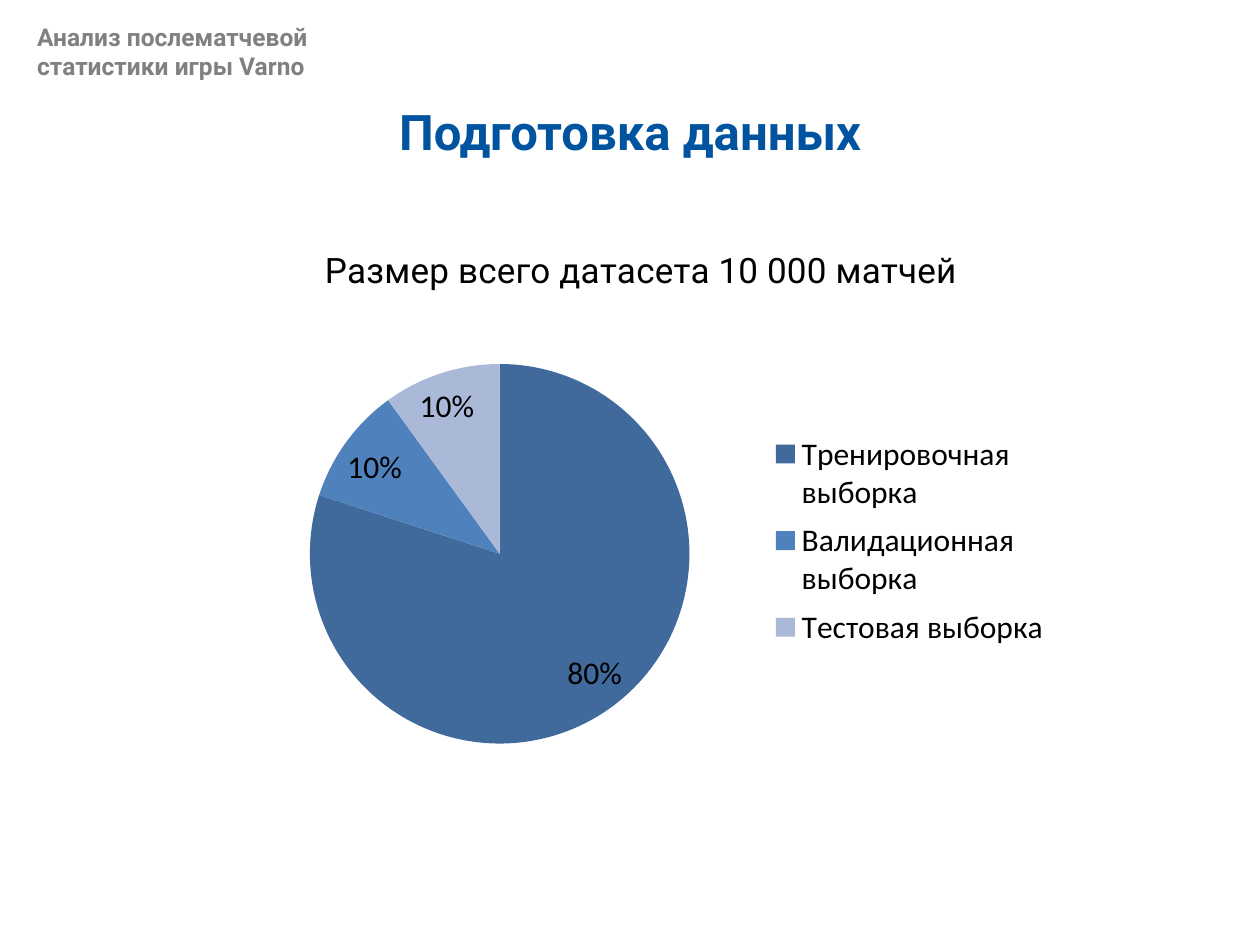
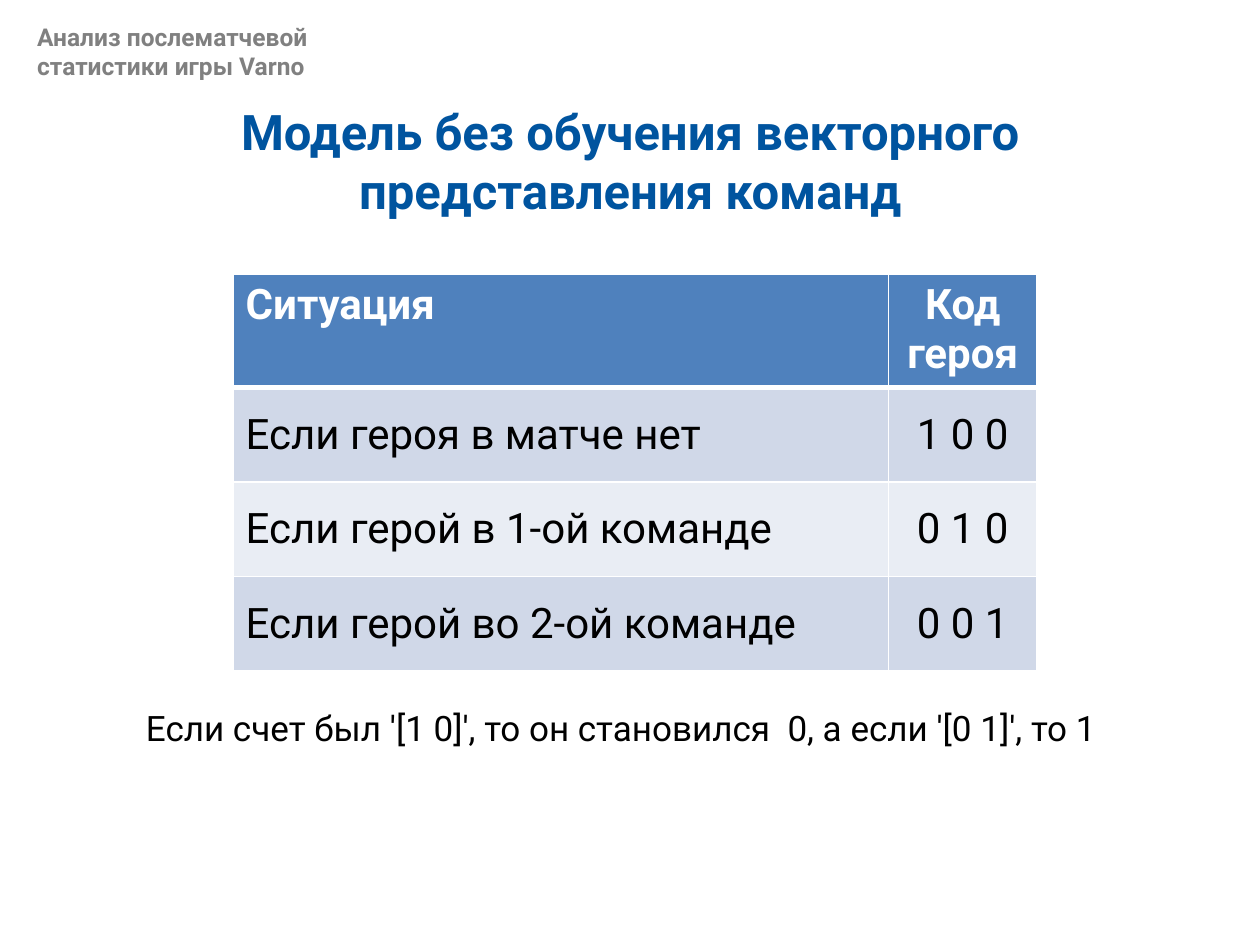
from lxml import etree
from pptx import Presentation
from pptx.chart.data import CategoryChartData
from pptx.dml.color import RGBColor
from pptx.enum import chart as ch, text
from pptx.oxml import parse_xml
from pptx.oxml.ns import nsdecls, qn
from pptx.util import Pt

FONT = "Roboto"
BLUE, GREY, BLACK, WHITE = "00549F", "808080", "000000", "FFFFFF"
HEAD_FILL = "4F81BD"
ROW_FILLS = ["D0D8E8", "E9EDF4"]
PIE_FILLS = ["406A9C", "4F81BD", "AAB9D8"]
CENTER, LEFT = text.PP_ALIGN.CENTER, text.PP_ALIGN.LEFT


def rgb(value):
    return RGBColor.from_string(value)


def style(font, size, color, bold=False, name=FONT):
    font.size = Pt(size)
    font.name = name
    font.bold = bold
    font.color.rgb = rgb(color)


def fill_text(tf, words, size, color, bold=False, align=LEFT):
    tf.text = words
    p = tf.paragraphs[0]
    p.alignment = align
    style(p.runs[0].font, size, color, bold)


def add_text(s, box, words, size, color, bold=False, align=LEFT):
    tf = s.shapes.add_textbox(*map(Pt, box)).text_frame
    tf.word_wrap = True
    fill_text(tf, words, size, color, bold, align)


def add_titled_slide(prs, title, left, width, height):
    """Blank slide with the running header and a centred blue title."""
    s = prs.slides.add_slide(prs.slide_layouts[6])
    add_text(s, (14.2, 9, 232.6, 41),
             "Анализ послематчевой статистики игры Varno", 14, GREY, True)
    add_text(s, (left, 54.7, width, height), title, 28, BLUE, True, CENTER)
    return s


def set_layout(part, after=None, **settings):
    """Place a chart part by fractions of the chart, following the tag `after`."""
    for old in part.findall(qn("c:layout")):
        part.remove(old)
    layout = parse_xml(f"<c:layout {nsdecls('c')}/>")
    manual = etree.SubElement(layout, qn("c:manualLayout"))
    for tag, val in settings.items():
        etree.SubElement(manual, qn(f"c:{tag}")).set("val", str(val))
    if after:
        part.find(qn(after)).addnext(layout)
    else:
        part.insert(0, layout)


def add_pie(s, box, title, shares):
    data = CategoryChartData()
    data.categories = list(shares)
    data.add_series("Выборки", list(shares.values()))
    chart = s.shapes.add_chart(ch.XL_CHART_TYPE.PIE, *map(Pt, box), data).chart
    style(chart.font, 18, BLACK, name="Calibri")

    chart.has_title = True
    fill_text(chart.chart_title.text_frame, title, 20, BLACK, align=CENTER)
    chart.chart_title.include_in_layout = False
    chart.has_legend = True
    chart.legend.position = ch.XL_LEGEND_POSITION.RIGHT
    chart.legend.include_in_layout = False

    plot = chart.plots[0]
    plot.vary_by_categories = True
    plot.has_data_labels = True
    labels = plot.data_labels
    labels.show_percentage = True
    labels.show_value = False
    labels.number_format = "0%"
    labels.number_format_is_linked = False
    labels.position = ch.XL_LABEL_POSITION.BEST_FIT
    for i, color in enumerate(PIE_FILLS):
        fill = plot.series[0].points[i].format.fill
        fill.solid()
        fill.fore_color.rgb = rgb(color)

    root = chart._chartSpace.chart
    edge = {"xMode": "edge", "yMode": "edge"}
    set_layout(root.find(qn("c:title")), "c:tx", **edge, x=0.14, y=0.01)
    set_layout(root.plotArea, layoutTarget="inner", **edge, x=0.13, y=0.24, w=0.44, h=0.73)
    set_layout(root.find(qn("c:legend")), "c:legendPos", **edge, x=0.66, y=0.36, w=0.33, h=0.44)


def set_borders(cell, top, bottom):
    """White borders; top and bottom are widths in points."""
    tc_pr = cell._tc.get_or_add_tcPr()
    for i, (side, width) in enumerate(zip("LRTB", (1, 1, top, bottom))):
        tc_pr.insert(i, parse_xml(
            f'<a:ln{side} {nsdecls("a")} w="{Pt(width)}"><a:solidFill>'
            f'<a:srgbClr val="{WHITE}"/></a:solidFill></a:ln{side}>'))


def add_code_table(s, left, top, col_widths, row_heights, rows):
    table = s.shapes.add_table(len(rows), len(col_widths), Pt(left), Pt(top),
                               Pt(sum(col_widths)), Pt(sum(row_heights))).table
    for col, width in zip(table.columns, col_widths):
        col.width = Pt(width)
    for r, (height, words) in enumerate(zip(row_heights, rows)):
        table.rows[r].height = Pt(height)
        head = r == 0
        for c, value in enumerate(words):
            cell = table.cell(r, c)
            fill_text(cell.text_frame, value, 24, WHITE if head else BLACK,
                      head, CENTER if c else LEFT)
            cell.vertical_anchor = (text.MSO_ANCHOR.TOP if head
                                    else text.MSO_ANCHOR.MIDDLE)
            cell.fill.solid()
            cell.fill.fore_color.rgb = rgb(HEAD_FILL if head else ROW_FILLS[(r - 1) % 2])
            set_borders(cell, top=3 if r == 1 else 1, bottom=3 if head else 1)


def main():
    prs = Presentation()
    prs.slide_width, prs.slide_height = Pt(720), Pt(540)

    s = add_titled_slide(prs, "Подготовка данных", 215.3, 289.4, 41)
    add_pie(s, (113, 134, 493, 301.7), "Размер всего датасета 10 000 матчей",
            {"Тренировочная выборка": 80, "Валидационная выборка": 10,
             "Тестовая выборка": 10})

    s = add_titled_slide(prs, "Модель без обучения векторного представления команд",
                         62.4, 595.4, 75)
    add_code_table(s, 133.2, 156.6, [374.4, 85], [64] + [54] * 3, [
        ("Ситуация", "Код героя"),
        ("Если героя в матче нет", "1 0 0"),
        ("Если герой в 1-ой команде", "0 1 0"),
        ("Если герой во 2-ой команде", "0 0 1"),
    ])
    add_text(s, (76.3, 400.3, 612, 31.7),
             "Если счет был '[1 0]', то он становился  0, а если '[0 1]', то 1", 20, BLACK)

    prs.save("out.pptx")


if __name__ == "__main__":
    main()
